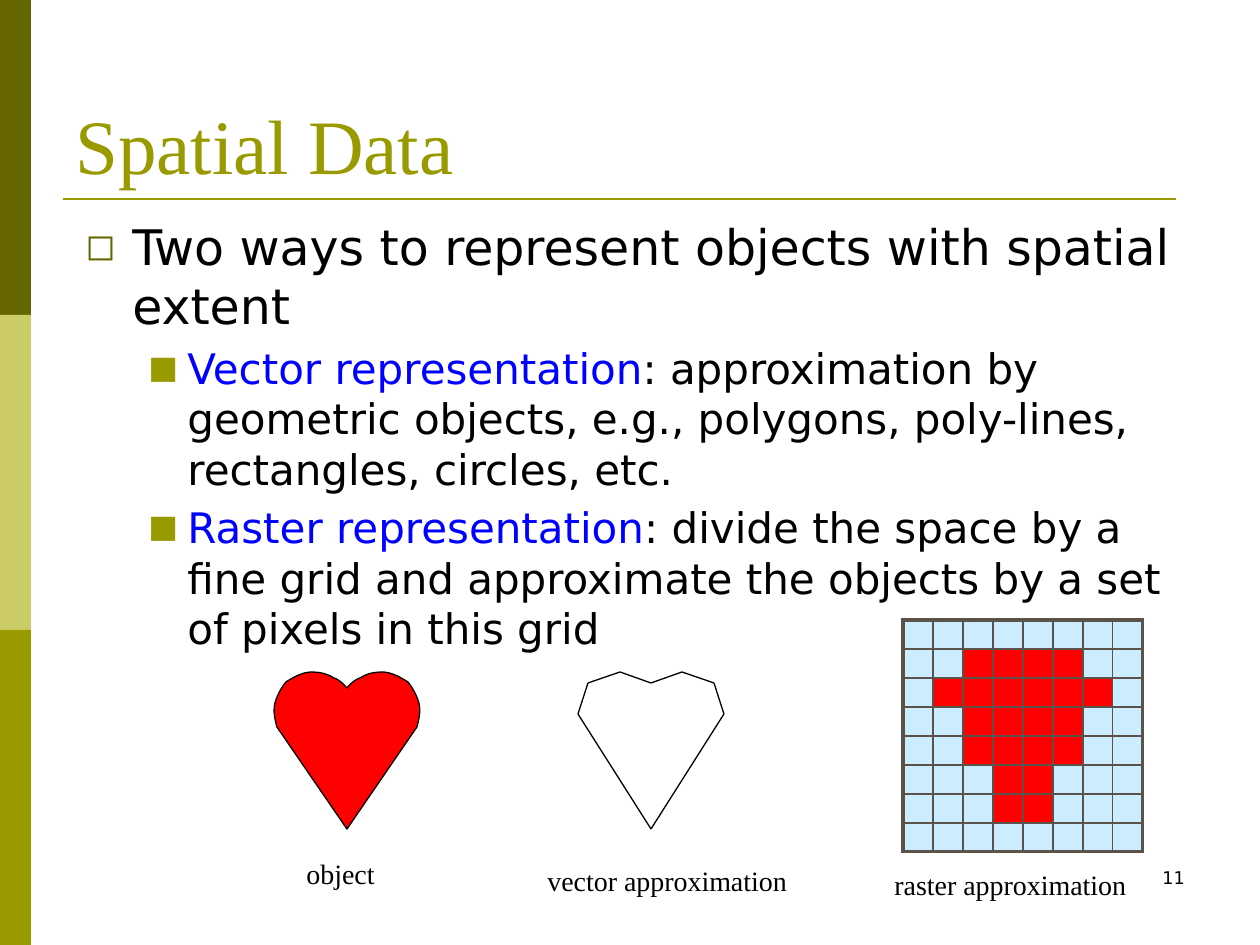
from dataclasses import dataclass

from lxml import etree
from pptx import Presentation
from pptx.dml.color import RGBColor
from pptx.enum.shapes import MSO_CONNECTOR, MSO_SHAPE
from pptx.enum.text import MSO_ANCHOR, PP_ALIGN
from pptx.oxml.ns import qn
from pptx.util import Emu, Pt

RECTANGLE = MSO_SHAPE.RECTANGLE
STRAIGHT = MSO_CONNECTOR.STRAIGHT
TOP, BOTTOM = MSO_ANCHOR.TOP, MSO_ANCHOR.BOTTOM
LEFT, RIGHT = PP_ALIGN.LEFT, PP_ALIGN.RIGHT
PX_PER_INCH = 126
SERIF, SANS = "Times New Roman", "DejaVu Sans"
OLIVE, DARK_OLIVE, PALE_OLIVE = "999900", "666600", "CCCC66"
BLACK, BLUE, RED, SKY, GRID = "000000", "0000FF", "FF0000", "CCECFF", "5B5249"


@dataclass
class Label:
    text: str
    left: int
    top: int
    width: int
    height: int
    size: int
    font: str = SERIF
    color: str = BLACK
    align: PP_ALIGN = LEFT
    anchor: MSO_ANCHOR = TOP
    wrap: bool = True


@dataclass
class Bullet:
    spans: list[tuple[str, str]]
    size: int
    symbol: str
    color: str
    indent: int
    hang: int
    level: int = 0


def px(value: float) -> Emu:
    return Emu(round(value * 914400 / PX_PER_INCH))


def rgb(color: str) -> RGBColor:
    return RGBColor.from_string(color)


def style(font, size: int, name: str, color: str) -> None:
    font.size, font.name = Pt(size), name
    font.color.rgb = rgb(color)


def add_box(slide, left: int, top: int, width: int, height: int, wrap: bool = True):
    box = slide.shapes.add_textbox(px(left), px(top), px(width), px(height))
    box.text_frame.word_wrap = wrap
    return box.text_frame


def add_label(slide, label: Label) -> None:
    frame = add_box(slide, label.left, label.top, label.width, label.height, label.wrap)
    frame.vertical_anchor = label.anchor
    frame.text = label.text
    para = frame.paragraphs[0]
    para.alignment = label.align
    style(para.runs[0].font, label.size, label.font, label.color)


def add_line(shapes, start: tuple, end: tuple, color: str, width: float) -> None:
    line = shapes.add_connector(STRAIGHT, px(start[0]), px(start[1]), px(end[0]), px(end[1]))
    line.line.color.rgb, line.line.width = rgb(color), Pt(width)
    etree.SubElement(line._element.spPr, qn("a:effectLst"))


def add_bullet(para, bullet: Bullet) -> None:
    props = para._p.get_or_add_pPr()
    props.set("marL", str(px(bullet.indent)))
    props.set("indent", str(-px(bullet.hang)))
    color = etree.SubElement(props, qn("a:buClr"))
    etree.SubElement(color, qn("a:srgbClr"), val=bullet.color)
    etree.SubElement(props, qn("a:buSzPct"), val="75000")
    etree.SubElement(props, qn("a:buFont"), typeface=SANS)
    etree.SubElement(props, qn("a:buChar"), char=bullet.symbol)
    para.level = bullet.level
    for text, text_color in bullet.spans:
        span = para.add_run()
        span.text = text
        style(span.font, bullet.size, SANS, text_color)


def curve(start: tuple, first: tuple, second: tuple, end: tuple, steps: int = 8) -> list[tuple]:
    points = []
    for step in range(1, steps + 1):
        t = step / steps
        weights = ((1 - t) ** 3, 3 * t * (1 - t) ** 2, 3 * t * t * (1 - t), t**3)
        controls = (start, first, second, end)
        points.append(tuple(sum(w * c[axis] for w, c in zip(weights, controls)) for axis in (0, 1)))
    return points


def mirror(points: list[tuple], center: float) -> list[tuple]:
    return [(2 * center - x, y) for x, y in points]


def add_heart(slide) -> None:
    center, notch, tip = 347, (347, 688), (347, 829)
    half = [notch]
    for controls in (
        ((344, 684), (338, 679), (334, 678)),
        ((326, 673), (319, 672), (310, 672)),
        ((301, 673), (294, 677), (286, 682)),
        ((281, 688), (277, 696), (275, 703)),
        ((273, 712), (275, 719), (277, 727)),
    ):
        half += curve(half[-1], *controls)
    outline = half + [tip] + mirror(half[:0:-1], center)
    points = [(px(x), px(y)) for x, y in outline]
    builder = slide.shapes.build_freeform(*points[0])
    builder.add_line_segments(points[1:], close=True)
    heart = builder.convert_to_shape()
    heart.shadow.inherit = False
    heart.fill.solid()
    heart.fill.fore_color.rgb = rgb(RED)
    heart.line.color.rgb, heart.line.width = rgb(BLACK), Pt(0.75)


def add_polygon_heart(slide) -> None:
    half = [(651, 829), (578, 714), (588, 683), (620, 672), (651, 683)]
    for side in (half, mirror(half, 651)):
        group = slide.shapes.add_group_shape()
        for start, end in zip(side, side[1:]):
            add_line(group.shapes, start, end, BLACK, 0.75)


def set_borders(cell, widths: dict[str, float]) -> None:
    props = cell._tc.get_or_add_tcPr()
    for position, (edge, width) in enumerate(widths.items()):
        border = etree.Element(qn(f"a:ln{edge}"), w=str(Pt(width)))
        fill = etree.SubElement(border, qn("a:solidFill"))
        etree.SubElement(fill, qn("a:srgbClr"), val=GRID)
        props.insert(position, border)


def add_raster(slide, rows: list[str], left: int, top: int, column: int, row: int) -> None:
    count, last = len(rows), len(rows) - 1
    frame = slide.shapes.add_table(count, count, px(left), px(top), px(column * count), px(row * count))
    table = frame.table
    table.first_row = table.horz_banding = False
    for index in range(count):
        table.columns[index].width = px(column)
        table.rows[index].height = px(row)
    for y, pixels in enumerate(rows):
        for x, pixel in enumerate(pixels):
            cell = table.cell(y, x)
            cell.margin_left = cell.margin_right = cell.margin_top = cell.margin_bottom = 0
            cell.fill.solid()
            cell.fill.fore_color.rgb = rgb(RED if pixel == "#" else SKY)
            outer = {"L": x == 0, "R": x == last, "T": y == 0, "B": y == last}
            set_borders(cell, {edge: 2.25 if thick else 1 for edge, thick in outer.items()})
            # Small type keeps the empty cells from growing
            etree.SubElement(cell.text_frame.paragraphs[0]._p, qn("a:endParaRPr"), sz="800")


BULLETS = [
    Bullet([("Two ways to represent objects with spatial extent", BLACK)], 28, "◻", DARK_OLIVE, 47, 47),
    Bullet([("Vector representation", BLUE),
            (": approximation by geometric objects, e.g., polygons, poly-lines, rectangles, circles, etc.", BLACK)],
           24, "■", OLIVE, 102, 39, 1),
    Bullet([("Raster representation", BLUE),
            (": divide the space by a fine grid and approximate the objects by a set of pixels in this grid", BLACK)],
           24, "■", OLIVE, 102, 39, 1),
]
LABELS = [
    Label("Spatial Data", 63, 38, 1134, 158, 44, color=OLIVE, anchor=BOTTOM),
    Label("object", 294, 850, 94, 47, 16, wrap=False),
    Label("vector approximation", 535, 857, 266, 47, 16, wrap=False),
    Label("raster approximation", 882, 861, 258, 47, 16, wrap=False),
    Label("11", 903, 861, 294, 63, 10, font=SANS, align=RIGHT),
]
RASTER = ["........", "..####..", ".######.", "..####..", "..####..", "...##...", "...##...", "........"]


def main() -> None:
    deck = Presentation()
    deck.slide_width, deck.slide_height = px(1260), px(945)
    page = deck.slides.add_slide(deck.slide_layouts[6])

    # Side bands and title rule
    for index, color in enumerate((DARK_OLIVE, PALE_OLIVE, OLIVE)):
        band = page.shapes.add_shape(RECTANGLE, 0, px(315 * index), px(31), px(315))
        band.shadow.inherit = False
        band.fill.solid()
        band.fill.fore_color.rgb = rgb(color)
        band.line.fill.background()
    add_line(page.shapes, (63, 199), (1176, 199), OLIVE, 1.5)

    # Bulleted text
    body = add_box(page, 73, 210, 1113, 662)
    for index, bullet in enumerate(BULLETS):
        para = body.add_paragraph() if index else body.paragraphs[0]
        if index:
            para.space_before = Pt(4.8)
        add_bullet(para, bullet)

    # Three views of the heart, then all single-line texts
    add_raster(page, RASTER, 903, 620, 30, 29)
    add_heart(page)
    add_polygon_heart(page)
    for label in LABELS:
        add_label(page, label)
    deck.save("out.pptx")


if __name__ == "__main__":
    main()
